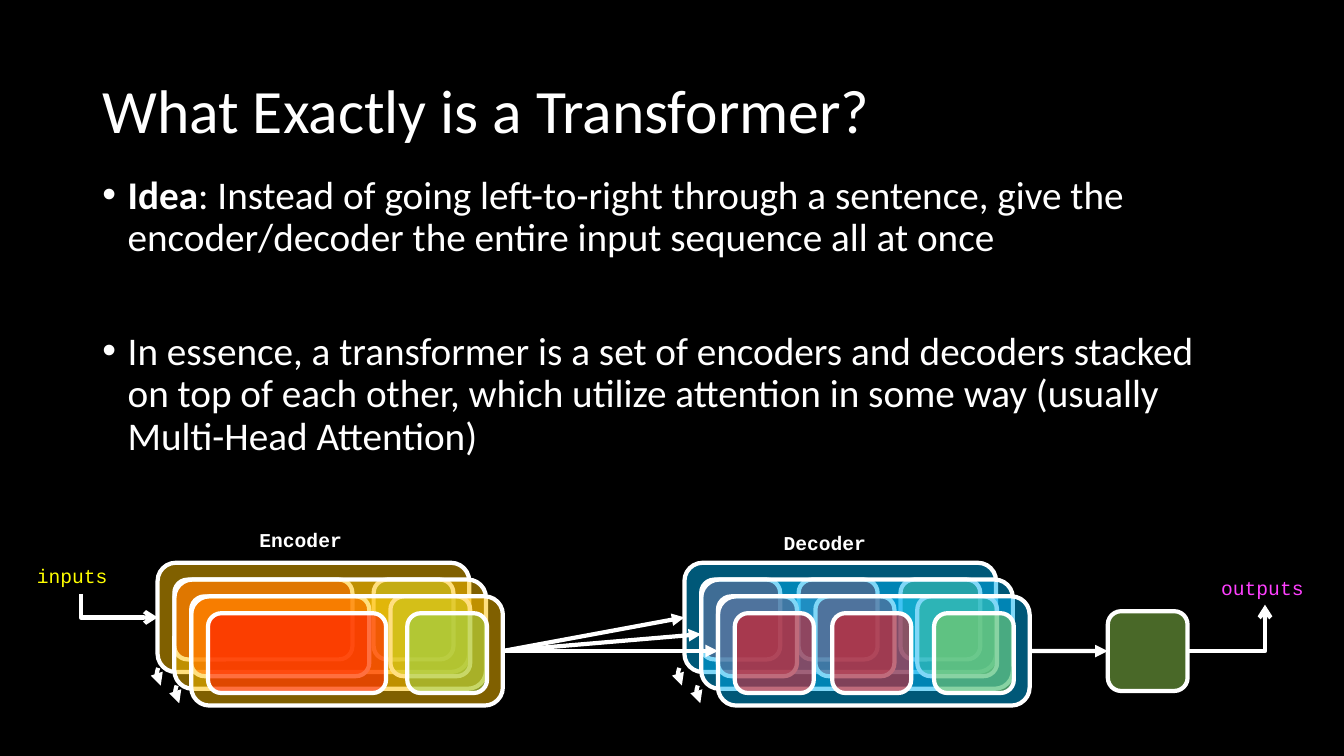
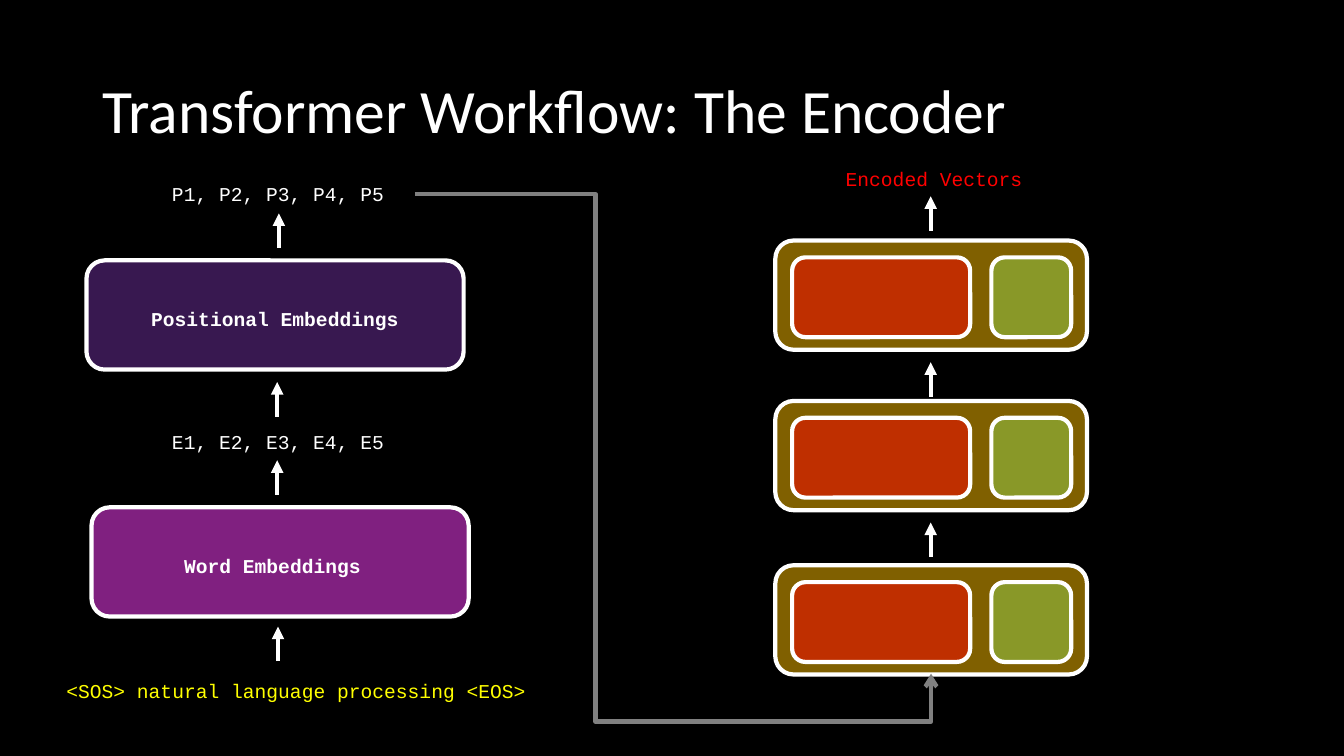
from lxml import etree
from pptx import Presentation
from pptx import util as u
from pptx.dml.color import RGBColor
from pptx.enum import shapes, text
from pptx.oxml.ns import qn

COLS, ROWS = 80, 45
CELL = u.Inches(7.5) // ROWS
WHITE, BLACK, GRAY = "FFFFFF", "000000", "808080"
RED, GREEN, GOLD, BLUE = "FF0000", "92D050", "FFC000", "00B0F0"
YELLOW, PINK, PURPLE = "FFFF00", "FF40FF", "7030A0"
LEFT, MID = text.PP_ALIGN.LEFT, text.PP_ALIGN.CENTER

# Sizes in grid cells
BLOCK = (18.55, 6.5)
TILE = 4.75
ENCODER = ((1, 10.6, RED), (12.86, TILE, GREEN))
DECODER = ((1, 4.7, RED), (6.8, 4.7, RED), (12.86, TILE, GREEN))


def rgb(code):
    return RGBColor.from_string(code)


def grid(*cells):
    return [round(c * CELL) for c in cells]


def write(para, words, size=14, font="Courier New", color=WHITE,
          bold=False, align=LEFT):
    para.alignment = align
    run = para.add_run()
    run.text = words
    run.font.size, run.font.name = u.Pt(size), font
    run.font.bold, run.font.color.rgb = bold, rgb(color)


class Deck:
    def __init__(self):
        self.prs = Presentation()
        self.prs.slide_width, self.prs.slide_height = grid(COLS, ROWS)
        back = self.prs.slide_master.background.fill
        back.solid()
        back.fore_color.rgb = rgb(BLACK)

    def slide(self, title, layout):
        self.page = self.prs.slides.add_slide(self.prs.slide_layouts[layout])
        frame = self.place(self.page.shapes.title, 5.5, 2.4, 69, 8.7)
        frame.vertical_anchor = text.MSO_ANCHOR.MIDDLE
        frame.paragraphs[0].line_spacing = 0.9
        write(frame.paragraphs[0], title, size=44, font="Calibri")

    def place(self, holder, *box):
        holder.left, holder.top, holder.width, holder.height = grid(*box)
        frame = holder.text_frame
        frame.word_wrap = True
        frame.auto_size = text.MSO_AUTO_SIZE.NONE
        return frame

    def bullets(self, items, box):
        """Each item is (space before, [(words, bold), ...])."""
        frame = self.place(self.page.placeholders[1], *box)
        for i, (space, parts) in enumerate(items):
            para = frame.add_paragraph() if i else frame.paragraphs[0]
            para.line_spacing, para.space_before = 0.9, u.Pt(space)
            props = para._p.get_or_add_pPr()
            props.set("marL", str(u.Inches(0.25)))
            props.set("indent", str(-u.Inches(0.25)))
            etree.SubElement(props, qn("a:buChar"), char="•")
            for words, bold in parts:
                write(para, words, size=28, font="Calibri", bold=bold)

    def label(self, words, x, y, w, **style):
        box = self.page.shapes.add_textbox(*grid(x, y, w, 2.05))
        box.text_frame.word_wrap = True
        write(box.text_frame.paragraphs[0], words, **style)

    def stroke(self, shape, color=WHITE, head=None):
        shape.line.color.rgb, shape.line.width = rgb(color), u.Pt(3)
        if head:
            line = shape._element.spPr.find(qn("a:ln"))
            etree.SubElement(line, qn("a:tailEnd"), type=head)

    def panel(self, x, y, w, h, color):
        """Half-transparent rounded rectangle."""
        shape = self.page.shapes.add_shape(
            shapes.MSO_SHAPE.ROUNDED_RECTANGLE, *grid(x, y, w, h))
        shape.shadow.inherit = False
        shape.fill.solid()
        shape.fill.fore_color.rgb = rgb(color)
        tint = shape._element.spPr.find(qn("a:solidFill"))[0]
        etree.SubElement(tint, qn("a:alpha"), val="50000")
        self.stroke(shape)
        return shape

    def block(self, x, y, color, tiles):
        base = self.panel(x, y, *BLOCK, color)
        for dx, w, tint in tiles:
            self.panel(x + dx, y + 1, w, TILE, tint)
        return base

    def stack(self, x, y, color, tiles):
        return [self.block(x + i, y + i, color, tiles) for i in range(3)]

    def hook(self, x, y):
        """Small curved arrow between stacked blocks."""
        arc = self.page.shapes.add_shape(
            shapes.MSO_SHAPE.ARC, *grid(x, y, 1.92, 2.34))
        arc.shadow.inherit = False
        arc.fill.background()
        arc.rotation = 217.8
        arc._element.spPr.find(qn("a:xfrm")).set("flipV", "1")
        # Arc angles are 60000ths of a degree, adjustments are 100000ths
        for i, angle in enumerate((25.22, 83.68)):
            arc.adjustments[i] = angle * 0.6
        self.stroke(arc, head="triangle")

    def wire(self, kind, start, end, color, head):
        line = self.page.shapes.add_connector(kind, *grid(*start, *end))
        self.stroke(line, color, head)
        etree.SubElement(line._element.spPr, qn("a:effectLst"))
        return line

    def arrow(self, start, end):
        return self.wire(shapes.MSO_CONNECTOR.STRAIGHT, start, end,
                         WHITE, "triangle")

    def rise(self, x, y):
        self.arrow((x, y), (x, y - 2.06))

    def join(self, source, target):
        line = self.arrow((0, 0), (1, 1))
        line.begin_connect(source, 3)
        line.end_connect(target, 1)

    def bent(self, start, end, preset, color=WHITE, turned=False, adj=()):
        """Elbow arrow; turned means it leaves vertically."""
        if turned:
            (x1, y1), (x2, y2) = start, end
            cx, cy = (x1 + x2) / 2, (y1 + y2) / 2
            dx, dy = (x2 - x1) / 2, (y2 - y1) / 2
            start, end = (cx + dy, cy - dx), (cx - dy, cy + dx)
        line = self.wire(shapes.MSO_CONNECTOR.ELBOW, start, end,
                         color, "arrow")
        props = line._element.spPr
        if turned:
            props.find(qn("a:xfrm")).set("rot", str(270 * 60000))
        geom = props.find(qn("a:prstGeom"))
        geom.set("prst", preset)
        guides = geom.find(qn("a:avLst"))
        for i, share in enumerate(adj, 1):
            etree.SubElement(guides, qn("a:gd"), name=f"adj{i}",
                             fmla=f"val {round(share * 100000)}")


def overview(deck):
    deck.slide("What Exactly is a Transformer?", 1)
    deck.bullets([
        (10, [("Idea", True),
              (": Instead of going left-to-right through a sentence, give "
               "the encoder/decoder the entire input sequence all at once",
               False)]),
        (51, [("In essence, a transformer is a set of encoders and decoders "
               "stacked on top of each other, which utilize attention in "
               "some way (usually Multi-Head Attention)", False)]),
    ], (5.5, 10.15, 69, 18.4))

    # Stacks and their captions
    deck.label("Encoder", 14.65, 31.1, 6.5, bold=True, align=MID)
    deck.label("Decoder", 45.85, 31.3, 6.5, bold=True, align=MID)
    for x in (9.42, 40.44):
        for i in range(2):
            deck.hook(x + 1.1 * i, 38.8 + 1.05 * i)
    front = deck.stack(9.38, 33.5, GOLD, ENCODER)[-1]
    decoders = deck.stack(40.74, 33.5, BLUE, DECODER)
    final = deck.panel(65.94, 36.38, TILE, TILE, GREEN)

    # Flow
    for target in decoders:
        deck.join(front, target)
    deck.join(decoders[-1], final)
    deck.label("inputs", 1.6, 33.3, 6.45, color=YELLOW)
    deck.label("outputs", 72.1, 34, 6.45, color=PINK)
    deck.bent((4.8, 35.35), (9.38, 36.75), "bentConnector2", turned=True)
    deck.bent((70.69, 38.76), (75.3, 36), "bentConnector2")


def encoder(deck):
    deck.slide("Transformer Workflow: The Encoder", 5)

    # Encoder column
    for y in (33.65, 23.87, 14.32):
        deck.block(46.15, y, GOLD, ENCODER)
        if y < 33:
            deck.rise(55.4, y + 9.3)
    deck.rise(55.4, 13.75)
    deck.label("Encoded Vectors", 49.75, 9.65, 12.6, color=RED)

    # Embedding column
    deck.label("<SOS> natural language processing <EOS>", 3.36, 40.1, 30.8,
               color=YELLOW)
    for words, x, y, color, left, top in (
            ("Positional Embeddings", 5.15, 15.5, PURPLE, 7.8, 17.95),
            ("Word Embeddings", 5.45, 30.2, PINK, 7.65, 32.7)):
        deck.panel(x, y, 22.45, 6.5, color)
        deck.label(words, left, top, 17.15, bold=True, align=MID)
    for words, y in (("P1, P2, P3, P4, P5", 10.55),
                     ("E1, E2, E3, E4, E5", 25.3)):
        deck.label(words, 9.65, y, 15)
    for x, y in ((16.6, 14.76), (16.5, 24.8), (16.5, 29.45), (16.55, 39.36)):
        deck.rise(x, y)
    deck.bent((24.7, 11.55), (55.42, 40.1), "bentConnector4", color=GRAY,
              adj=(0.35, 1.1))


def main():
    deck = Deck()
    overview(deck)
    encoder(deck)
    deck.prs.save("out.pptx")


if __name__ == "__main__":
    main()
